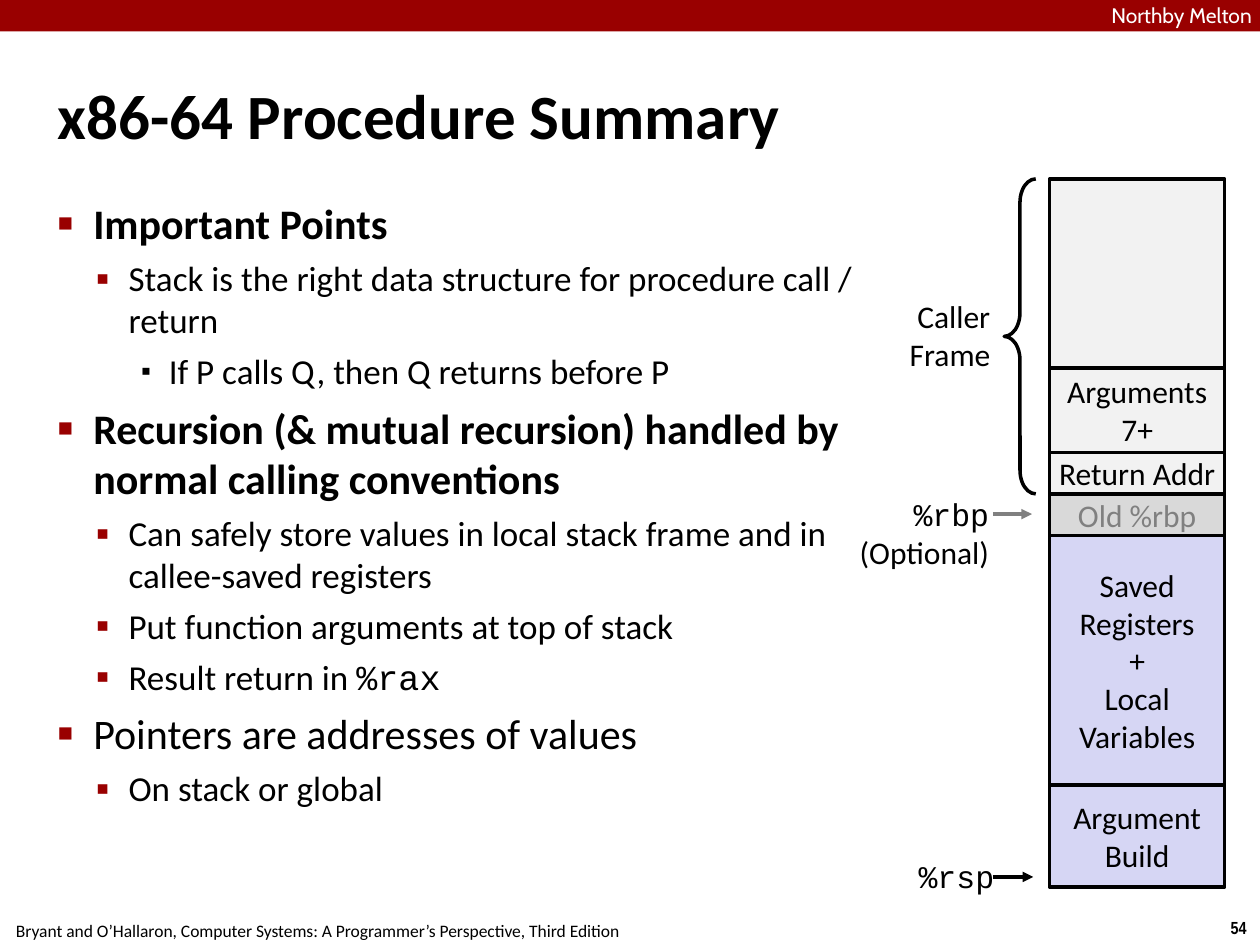
import pptx
import pptx.dml.color
import pptx.enum.shapes
import pptx.enum.text
import pptx.oxml
import pptx.oxml.ns
import pptx.util

BLACK = pptx.dml.color.RGBColor(0x00, 0x00, 0x00)
WHITE = pptx.dml.color.RGBColor(0xFF, 0xFF, 0xFF)
RED = pptx.dml.color.RGBColor(0x99, 0x00, 0x00)
PALE = pptx.dml.color.RGBColor(0xF2, 0xF2, 0xF2)
SILVER = pptx.dml.color.RGBColor(0xD9, 0xD9, 0xD9)
GRAY = pptx.dml.color.RGBColor(0x80, 0x80, 0x80)
LAVENDER = pptx.dml.color.RGBColor(0xD6, 0xD6, 0xF4)

COLUMNS, ROWS = 100, 75
SLIDE_WIDTH = pptx.util.Inches(10)
SLIDE_HEIGHT = pptx.util.Inches(7.5)
SHAPES = pptx.enum.shapes.MSO_SHAPE
ANCHORS = pptx.enum.text.MSO_ANCHOR
ALIGNS = pptx.enum.text.PP_ALIGN
SANS, MONO = "Calibri", "Courier New"

STACK_LEFT, STACK_TOP, STACK_WIDTH = 83.3, 14.2, 13.9
STACK = [
    (15, PALE, BLACK, []),
    (6.7, PALE, BLACK, ["Arguments", "7+"]),
    (3.3, PALE, BLACK, ["Return Addr"]),
    (3.3, SILVER, GRAY, ["Old %rbp"]),
    (19.8, LAVENDER, BLACK, ["Saved", "Registers", "+", "Local", "Variables"]),
    (8.1, LAVENDER, BLACK, ["Argument", "Build"]),
]

LEVELS = [
    dict(size=24, indent=0.28, hang=0.28, before=6, mark="■", share=60, color=RED),
    dict(size=20, indent=0.56, hang=0.26, before=5, mark="▪", share=110, color=RED),
    dict(size=20, indent=0.88, hang=0.22, before=5, mark="▪", share=80, color=BLACK),
]
POINTS = [
    (0, True, [("Important Points", SANS)]),
    (1, False, [("Stack is the right data structure for procedure call / return", SANS)]),
    (2, False, [("If P calls Q, then Q returns before P", SANS)]),
    (0, True, [("Recursion (& mutual recursion) handled by normal calling conventions", SANS)]),
    (1, False, [("Can safely store values in local stack frame and in callee-saved registers", SANS)]),
    (1, False, [("Put function arguments at top of stack", SANS)]),
    (1, False, [("Result return in ", SANS), ("%rax", MONO)]),
    (0, False, [("Pointers are addresses of values", SANS)]),
    (1, False, [("On stack or global", SANS)]),
]


def across(columns):
    return round(SLIDE_WIDTH * columns / COLUMNS)


def down(rows):
    return round(SLIDE_HEIGHT * rows / ROWS)


def region(left, top, width, height):
    return across(left), down(top), across(width), down(height)


def apply_format(target, values):
    for name, value in values.items():
        setattr(target, name, value)


def add_span(para, text, font=SANS, size=18, bold=False, color=BLACK):
    span = para.add_run()
    span.text = text
    apply_format(span.font, dict(name=font, size=pptx.util.Pt(size), bold=bold))
    span.font.color.rgb = color


def next_para(frame, index):
    return frame.add_paragraph() if index else frame.paragraphs[0]


def write_lines(frame, lines, align, **style):
    for index, line in enumerate(lines):
        text, font = line if isinstance(line, tuple) else (line, style.get("font", SANS))
        para = next_para(frame, index)
        para.alignment = align
        add_span(para, text, **{**style, "font": font})


def set_frame(frame, side, edge, wrap=True, anchor=ANCHORS.TOP):
    side, edge = pptx.util.Inches(side), pptx.util.Inches(edge)
    apply_format(frame, dict(
        margin_left=side, margin_right=side, margin_top=edge, margin_bottom=edge,
        word_wrap=wrap, vertical_anchor=anchor))


def add_label(page, place, lines, align=ALIGNS.LEFT, side=0.04, edge=0.04,
              wrap=True, anchor=ANCHORS.TOP, **style):
    box = page.shapes.add_textbox(*region(*place))
    set_frame(box.text_frame, side, edge, wrap, anchor)
    write_lines(box.text_frame, lines, align, **style)
    return box


def add_block(page, place, fill, outlined=True):
    block = page.shapes.add_shape(SHAPES.RECTANGLE, *region(*place))
    block.shadow.inherit = False
    block.fill.solid()
    block.fill.fore_color.rgb = fill
    if outlined:
        block.line.color.rgb = BLACK
        block.line.width = pptx.util.Pt(2)
    else:
        block.line.fill.background()
    return block


def add_stack(page):
    top = STACK_TOP
    for height, fill, color, lines in STACK:
        block = add_block(page, (STACK_LEFT, top, STACK_WIDTH, height), fill)
        set_frame(block.text_frame, 0, 0, anchor=ANCHORS.MIDDLE)
        write_lines(block.text_frame, lines, ALIGNS.CENTER, color=color)
        top += height


def add_brace(page, place):
    brace = page.shapes.add_shape(SHAPES.LEFT_BRACE, *region(*place))
    brace.shadow.inherit = False
    brace.adjustments[0] = 0.75
    brace.fill.background()
    brace.line.color.rgb = BLACK
    brace.line.width = pptx.util.Pt(2)


def add_element(parent, tag, **attributes):
    element = pptx.oxml.ns.qn(tag)
    child = parent.makeelement(element, attributes)
    parent.append(child)
    return child


def add_arrow(page, left, right, row, color):
    arrow = page.shapes.add_connector(
        pptx.enum.shapes.MSO_CONNECTOR.STRAIGHT,
        across(left), down(row), across(right), down(row))
    arrow.line.color.rgb = color
    arrow.line.width = pptx.util.Pt(2)
    add_element(arrow.line._get_or_add_ln(), "a:tailEnd", type="triangle")
    add_element(arrow._element.spPr, "a:effectLst")


def set_bullet(para, level):
    para.space_before = pptx.util.Pt(level["before"])
    properties = para._p.get_or_add_pPr()
    properties.set("marL", str(pptx.util.Inches(level["indent"])))
    properties.set("indent", str(-pptx.util.Inches(level["hang"])))
    color = add_element(properties, "a:buClr")
    add_element(color, "a:srgbClr", val=str(level["color"]))
    add_element(properties, "a:buSzPct", val=str(level["share"] * 1000))
    add_element(properties, "a:buFont", typeface="Arial")
    add_element(properties, "a:buChar", char=level["mark"])


def add_points(page, place):
    box = page.shapes.add_textbox(*region(*place))
    set_frame(box.text_frame, 0.04, 0.04)
    for index, (depth, bold, spans) in enumerate(POINTS):
        para = next_para(box.text_frame, index)
        para.level = depth
        set_bullet(para, LEVELS[depth])
        for text, font in spans:
            add_span(para, text, font, LEVELS[depth]["size"], bold)


def add_page_furniture(page):
    footer = dict(align=ALIGNS.CENTER, side=0.1, edge=0.05, wrap=False, size=10)
    add_label(page, (96.6, 72.3, 3.4, 2.7), ["54"], font="Arial Narrow", bold=True, **footer)
    add_label(page, (-0.2, 72.5, 50.8, 2.7), [
        "Bryant and O’Hallaron, Computer Systems: A Programmer’s Perspective, Third Edition"
    ], **footer)
    add_block(page, (0, 0, COLUMNS, 2.5), RED, outlined=False)
    add_label(page, (88.2, 0.2, 14.4, 1.9), ["Northby Melton"],
              side=0, edge=0, font="Cabin", size=12, color=WHITE)


def main():
    deck = pptx.Presentation()
    apply_format(deck, dict(slide_width=SLIDE_WIDTH, slide_height=SLIDE_HEIGHT))
    page = deck.slides.add_slide(deck.slide_layouts[6])
    add_page_furniture(page)
    add_label(page, (4.2, 2.8, 91.7, 12.5), ["x86-64 Procedure Summary"],
              anchor=ANCHORS.MIDDLE, size=36, bold=True)
    add_points(page, (4.2, 15.3, 64.2, 57.2))
    add_stack(page)
    add_label(page, (71.5, 23.2, 7.5, 6.9), ["Caller", "Frame"], ALIGNS.RIGHT, wrap=False)
    add_brace(page, (79.7, STACK_TOP, 2.5, 25))
    add_arrow(page, 78.8, 81.9, 40.8, GRAY)
    add_label(page, (61.8, 38.9, 17.1, 3.6), [("%rbp", MONO), "(Optional)"], ALIGNS.RIGHT)
    add_arrow(page, 78.8, 82, 69.6, BLACK)
    add_label(page, (63.1, 67.6, 16.2, 3.6), [("%rsp", MONO)], ALIGNS.RIGHT)
    deck.save("out.pptx")


if __name__ == "__main__":
    main()
